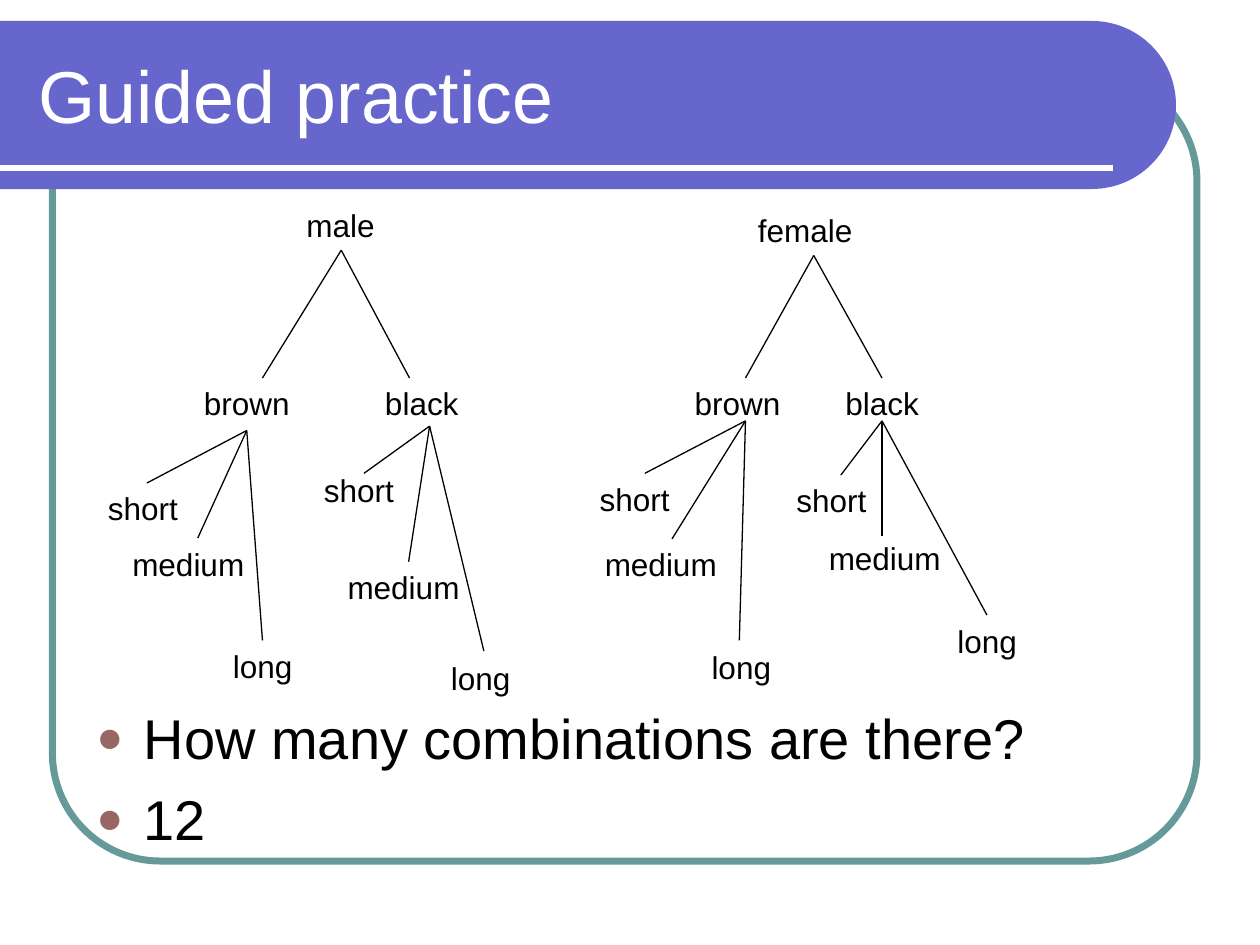
from math import cos, radians, sin

from lxml import etree
from pptx import Presentation
from pptx.dml.color import RGBColor
from pptx.enum.shapes import MSO_CONNECTOR as CONN, MSO_SHAPE as SHAPE
from pptx.enum.text import MSO_ANCHOR as ANCHOR, PP_ALIGN as ALIGN
from pptx.oxml.ns import qn
from pptx.util import Pt

FONT = "Arial"
BLACK, WHITE = "000000", "FFFFFF"
TEAL, VIOLET, ROSE = "669999", "6666CC", "996666"
JOIN_GAP = 1.2

# Each box is (left, top, width, height); a leaf is (text, box, line tip).
TREES = [
    ("male", (168, 114, 54, 29), [
        ("brown", (96, 216, 90, 30), (150, 216), (142, 246), [
            ("short", (54.5, 276, 59, 29), (85, 276)),
            ("medium", (68.5, 308, 84, 30), (113, 307.5)),
            ("long", (126, 366, 59, 30), (150, 366))]),
        ("black", (196, 216, 90, 30), (234, 216), (245.5, 243.5), [
            ("short", (178, 265.5, 66, 29), (208, 270.5)),
            ("medium", (191.5, 321, 84, 30), (234, 322)),
            ("long", (250.5, 373, 59, 30), (276.5, 372))])]),
    ("female", (426, 117, 78, 29), [
        ("brown", (376.5, 216, 90, 30), (426, 216), (426, 240.5), [
            ("short", (335.5, 270.5, 62, 29), (368.5, 270.5)),
            ("medium", (338.5, 308, 84, 30), (384, 308)),
            ("long", (399.5, 366.5, 59, 30), (422.5, 366))]),
        ("black", (459, 216, 90, 30), (504, 216), (504, 240.5), [
            ("short", (448, 271.5, 65, 29), (480, 270.5)),
            ("medium", (466.5, 304.5, 84, 30), (504, 306)),
            ("long", (540, 352, 59, 30), (564, 351.5))])]),
]


def rgb(value):
    return RGBColor.from_string(value)


def add_run(p, text, size, color):
    r = p.add_run()
    r.text = text
    r.font.name = FONT
    r.font.size = Pt(size)
    r.font.color.rgb = rgb(color)


def add_box(s, box, anchor=ANCHOR.TOP):
    sp = s.shapes.add_textbox(*map(Pt, box))
    tf = sp.text_frame
    tf.word_wrap = True
    tf.vertical_anchor = anchor
    return sp


def add_label(s, text, box, size=18, color=BLACK, align=ALIGN.LEFT,
              anchor=ANCHOR.TOP):
    sp = add_box(s, box, anchor)
    p = sp.text_frame.paragraphs[0]
    p.alignment = align
    add_run(p, text, size, color)
    return sp


def add_line(s, start, end, color=BLACK, width=0.75):
    cx = s.shapes.add_connector(CONN.STRAIGHT, *map(Pt, start + end))
    cx.line.color.rgb = rgb(color)
    cx.line.width = Pt(width)
    etree.SubElement(cx._element.spPr, qn("a:effectLst"))
    return cx


def meets(point, x, y):
    return max(abs(point[0] - x), abs(point[1] - y)) <= JOIN_GAP


def add_branch(s, parent, parent_box, start, child, child_box, end):
    cx = add_line(s, start, end)
    left, top, width, height = parent_box
    if meets(start, left + width / 2, top + height):
        cx.begin_connect(parent, 2)
    left, top, width, height = child_box
    if meets(end, left + width / 2, top):
        cx.end_connect(child, 0)


def add_tree(s, name, box, branches):
    root = add_label(s, name, box)
    left, top, width, height = box
    fork = (left + width / 2, top + height)
    for colour, node_box, tip, start, leaves in branches:
        node = add_label(s, colour, node_box, align=ALIGN.CENTER)
        add_branch(s, root, box, fork, node, node_box, tip)
        for text, leaf_box, leaf_tip in leaves:
            leaf = add_label(s, text, leaf_box)
            add_branch(s, node, node_box, start, leaf, leaf_box, leaf_tip)


def add_frame(s):
    sp = s.shapes.add_shape(SHAPE.ROUNDED_RECTANGLE,
                            *map(Pt, (30, 42, 654, 450)))
    sp.adjustments[0] = 0.137
    sp.shadow.inherit = False
    sp.fill.background()
    sp.line.color.rgb = rgb(TEAL)
    sp.line.width = Pt(4)


def add_banner(s):
    x, y, radius = 624, 60, 48
    arc = [(Pt(x + radius * cos(radians(a))), Pt(y + radius * sin(radians(a))))
           for a in range(-90, 91, 3)]
    fb = s.shapes.build_freeform(0, Pt(y - radius))
    fb.add_line_segments(arc + [(0, Pt(y + radius))], close=True)
    sp = fb.convert_to_shape()
    sp.shadow.inherit = False
    sp.fill.solid()
    sp.fill.fore_color.rgb = rgb(VIOLET)
    sp.line.fill.background()
    add_line(s, (0, 96), (636, 96), WHITE, 3)


def set_bullet(p, indent):
    pPr = p._p.get_or_add_pPr()
    pPr.set("marL", str(Pt(indent)))
    pPr.set("indent", str(-Pt(indent)))
    color = etree.SubElement(pPr, qn("a:buClr"))
    etree.SubElement(color, qn("a:srgbClr"), val=ROSE)
    etree.SubElement(pPr, qn("a:buSzPct"), val="80000")
    etree.SubElement(pPr, qn("a:buFont"), typeface=FONT)
    etree.SubElement(pPr, qn("a:buChar"), char="●")


def add_bullets(s, box, lines):
    tf = add_box(s, box).text_frame
    for i, text in enumerate(lines):
        p = tf.add_paragraph() if i else tf.paragraphs[0]
        if i:
            p.space_before = Pt(7.7)
        set_bullet(p, 27)
        add_run(p, text, 32, BLACK)


def main():
    prs = Presentation()
    prs.slide_width, prs.slide_height = Pt(720), Pt(540)
    s = prs.slides.add_slide(prs.slide_layouts[6])
    add_frame(s)
    add_banner(s)
    add_label(s, "Guided practice", (15, 18, 631.5, 72), 42, WHITE,
              anchor=ANCHOR.MIDDLE)
    add_bullets(s, (48, 398.5, 624, 90),
                ["How many combinations are there?", "12"])
    for tree in TREES:
        add_tree(s, *tree)
    prs.save("out.pptx")


if __name__ == "__main__":
    main()
